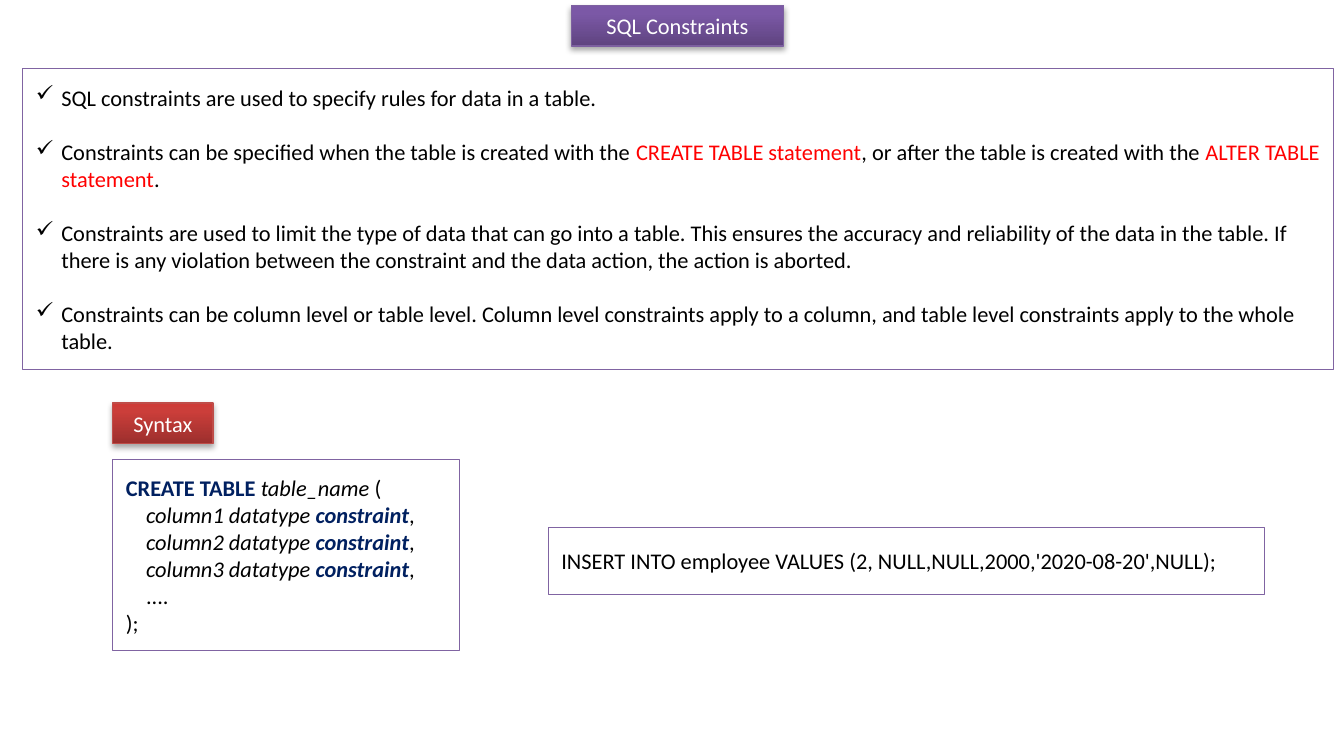
import copy
from dataclasses import dataclass

import lxml.etree
import pptx
import pptx.dml.color
import pptx.enum.shapes
import pptx.enum.text
import pptx.oxml.ns
import pptx.util
from pptx.util import Cm

COLORS = {
    "white": "FFFFFF",
    "black": "000000",
    "statement": "FF0000",
    "keyword": "002060",
    "border": "8064A2",
}
PURPLE = ("5F4480", "7B58A6", "7C57A8")
RED = ("9C2F2D", "CB3E3A", "CE3B37")
FONT_NAME = "Calibri"
LINE_HEIGHT = pptx.util.Pt(14.65)


@dataclass(frozen=True)
class Frame:
    left: float
    top: float
    width: float
    height: float


@dataclass(frozen=True)
class Span:
    text: str
    color: str = "black"
    bold: bool = False
    italic: bool = False


@dataclass(frozen=True)
class Label:
    text: str
    frame: Frame
    gradient: tuple[str, str, str]
    border: str


@dataclass(frozen=True)
class Panel:
    frame: Frame
    lines: list[list[Span]]
    bulleted: bool = False


def rgb(value: str) -> pptx.dml.color.RGBColor:
    return pptx.dml.color.RGBColor.from_string(value)


def code_column(number: int) -> list[Span]:
    return [
        Span(f"    column{number} datatype ", italic=True),
        Span("constraint", "keyword", bold=True, italic=True),
        Span(","),
    ]


LABELS = [
    Label("SQL Constraints", Frame(10.8, 0.1, 4.01, 0.77), PURPLE, "7D60A0"),
    Label("Syntax", Frame(2.13, 7.62, 1.9, 0.77), RED, "BF4C48"),
]

RULES = [
    [Span("SQL constraints are used to specify rules for data in a table.")],
    [
        Span("Constraints can be specified when the table is created with the "),
        Span("CREATE TABLE statement", "statement"),
        Span(", or after the table is created with the "),
        Span("ALTER TABLE statement", "statement"),
        Span("."),
    ],
    [Span("Constraints are used to limit the type of data that can go into a table. "
          "This ensures the accuracy and reliability of the data in the table. "
          "If there is any violation between the constraint and the data action, "
          "the action is aborted.")],
    [Span("Constraints can be column level or table level. Column level constraints "
          "apply to a column, and table level constraints apply to the whole table.")],
]

SYNTAX = [
    [
        Span("CREATE TABLE ", "keyword", bold=True),
        Span("table_name ", italic=True),
        Span("("),
    ],
    *[code_column(number) for number in (1, 2, 3)],
    [Span("    ....")],
    [Span(");")],
]

INSERT = [[Span("INSERT INTO employee VALUES (2, NULL,NULL,2000,'2020-08-20',NULL);")]]

PANELS = [
    Panel(Frame(0.43, 1.3, 24.77, 5.69), RULES, bulleted=True),
    Panel(Frame(2.13, 8.69, 6.55, 3.61), SYNTAX),
    Panel(Frame(10.36, 9.96, 13.54, 1.27), INSERT),
]


def add_box(slide, frame: Frame, border: str, border_width: float):
    box = slide.shapes.add_shape(
        pptx.enum.shapes.MSO_SHAPE.RECTANGLE,
        Cm(frame.left), Cm(frame.top), Cm(frame.width), Cm(frame.height),
    )
    box.shadow.inherit = False
    box.line.color.rgb = rgb(border)
    box.line.width = pptx.util.Pt(border_width)
    box.text_frame.word_wrap = True
    box.text_frame.vertical_anchor = pptx.enum.text.MSO_ANCHOR.MIDDLE
    return box


def set_font(para, color: str) -> None:
    para.font.name = FONT_NAME
    para.font.size = pptx.util.Pt(12)
    para.font.color.rgb = rgb(COLORS[color])


def fill_gradient(box, colors: tuple[str, str, str]) -> None:
    """Fill upwards from the first colour to the last."""
    box.fill.gradient()
    box.fill.gradient_angle = 90
    stop_list = box.element.spPr.find(".//" + pptx.oxml.ns.qn("a:gsLst"))
    stop_list.append(copy.deepcopy(stop_list[-1]))
    for stop, position, color in zip(box.fill.gradient_stops, (0, 0.8, 1), colors):
        stop.position = position
        stop.color.rgb = rgb(color)


def add_shadow(box) -> None:
    qn = pptx.oxml.ns.qn
    effects = box.element.spPr.find(qn("a:effectLst"))
    shadow = lxml.etree.SubElement(
        effects, qn("a:outerShdw"),
        blurRad="40000", dist="23000", dir="5400000", rotWithShape="0",
    )
    color = lxml.etree.SubElement(shadow, qn("a:srgbClr"), val=COLORS["black"])
    lxml.etree.SubElement(color, qn("a:alpha"), val="35000")


def add_bullet(para) -> None:
    """Give the paragraph a check mark and a hanging indent."""
    qn = pptx.oxml.ns.qn
    properties = para._p.get_or_add_pPr()
    indent = Cm(0.48)
    properties.set("marL", str(indent))
    properties.set("indent", str(-indent))
    lxml.etree.SubElement(properties, qn("a:buChar"), char="✓")


def add_label(slide, label: Label) -> None:
    box = add_box(slide, label.frame, label.border, 0.75)
    fill_gradient(box, label.gradient)
    add_shadow(box)
    para = box.text_frame.paragraphs[0]
    para.text = label.text
    para.alignment = pptx.enum.text.PP_ALIGN.CENTER
    set_font(para, "white")


def add_panel(slide, panel: Panel) -> None:
    box = add_box(slide, panel.frame, COLORS["border"], 0.25)
    box.fill.solid()
    box.fill.fore_color.rgb = rgb(COLORS["white"])
    text = box.text_frame
    for index, spans in enumerate(panel.lines):
        para = text.add_paragraph() if index else text.paragraphs[0]
        para.alignment = pptx.enum.text.PP_ALIGN.LEFT
        if panel.bulleted:
            if index:
                para.space_before = LINE_HEIGHT
            add_bullet(para)
        set_font(para, "black")
        for span in spans:
            run = para.add_run()
            run.text = span.text
            if span.color != "black":
                run.font.color.rgb = rgb(COLORS[span.color])
            if span.bold:
                run.font.bold = True
            if span.italic:
                run.font.italic = True


def main() -> None:
    deck = pptx.Presentation()
    deck.slide_width, deck.slide_height = Cm(25.4), Cm(13.97)
    slide = deck.slides.add_slide(deck.slide_layouts[6])
    for label in LABELS:
        add_label(slide, label)
    for panel in PANELS:
        add_panel(slide, panel)
    deck.save("out.pptx")


if __name__ == "__main__":
    main()
